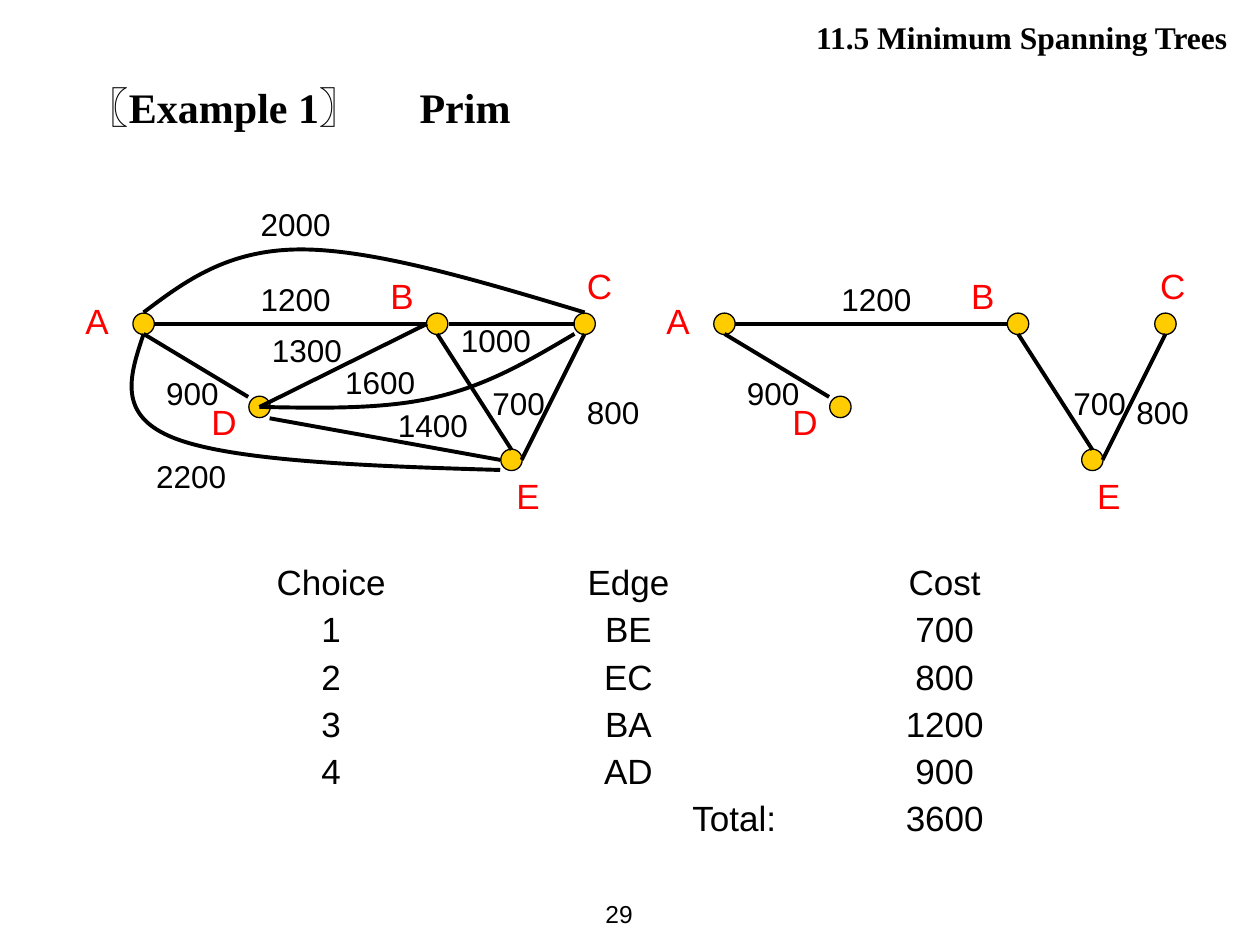
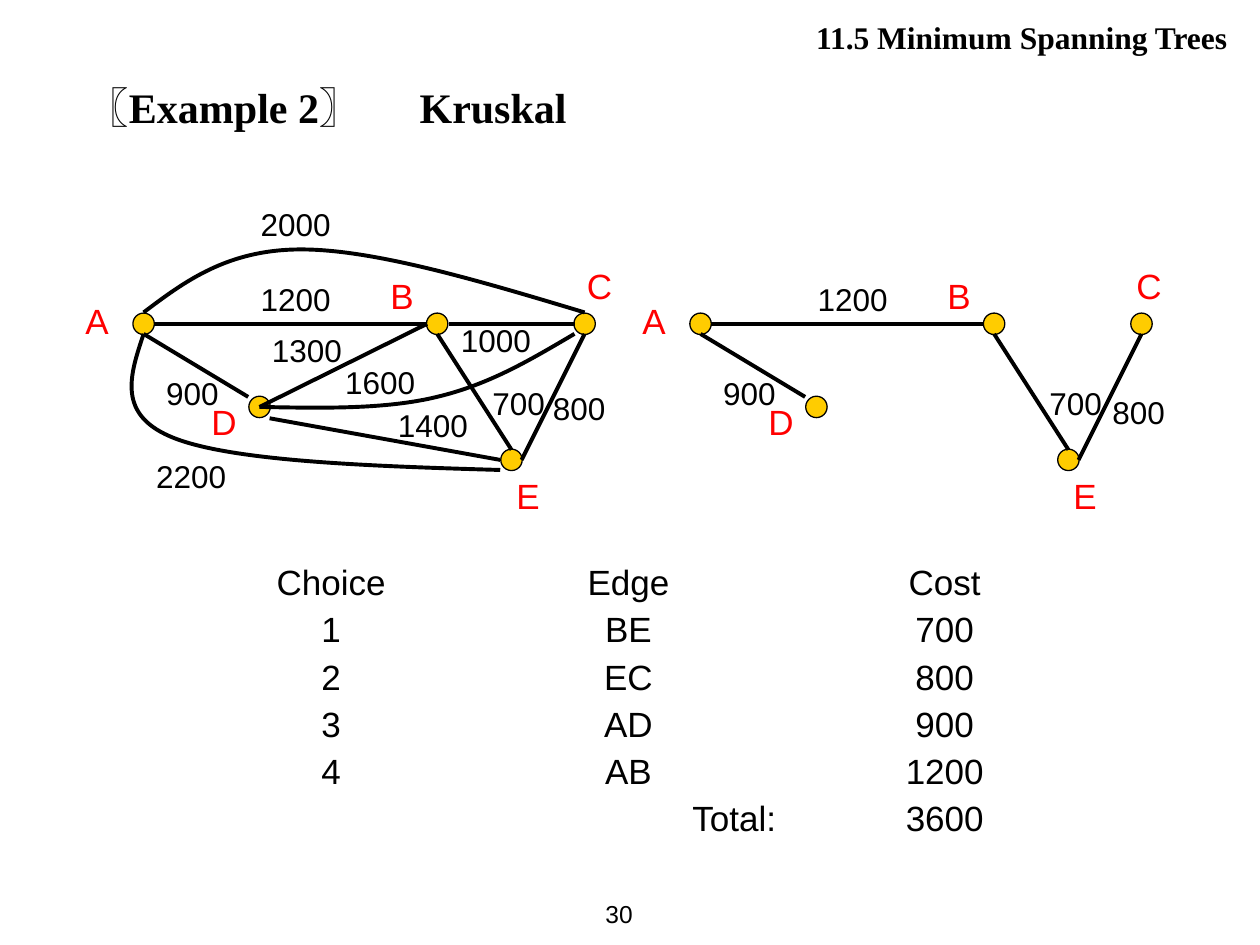
from lxml.etree import SubElement
from pptx import Presentation
from pptx.dml.color import RGBColor
from pptx.enum.shapes import MSO_CONNECTOR, MSO_SHAPE
from pptx.enum.text import MSO_ANCHOR, MSO_AUTO_SIZE, PP_ALIGN
from pptx.oxml.ns import qn
from pptx.util import Inches, Pt

BLACK = RGBColor(0, 0, 0)
RED = RGBColor(0xFF, 0, 0)
GOLD = RGBColor(0xFF, 0xCC, 0)
SANS, SERIF = "Arial", "Times New Roman"
DOT = 0.17

NODES = [(1.14, 2.57), (3.47, 2.57), (4.64, 2.57), (2.06, 3.23), (4.06, 3.65)]
NAMES = {"A": (0.58, 2.33), "B": (3, 2.13), "C": (4.56, 2.05),
         "D": (1.58, 3.13), "E": (4, 3.72)}
TREE = [((1.22, 2.57), (3.39, 2.57)), ((1.14, 2.65), (1.97, 3.15)),
        ((4.14, 3.65), (4.64, 2.65)), ((3.47, 2.65), (4.06, 3.57))]
OTHERS = [((3.56, 2.57), (4.56, 2.57)), ((2.14, 3.32), (3.97, 3.65)),
          ((2.06, 3.23), (3.39, 2.57))]
CURVES = [
    [(1.14, 2.48), (1.47, 2.23), (1.81, 1.98), (2.39, 1.98),
     (2.97, 1.98), (3.81, 2.23), (4.64, 2.48)],
    [(1.14, 2.65), (1.03, 2.98), (0.92, 3.3), (1.39, 3.48),
     (1.86, 3.66), (2.92, 3.7), (3.97, 3.73)],
    [(2.06, 3.23), (2.56, 3.24), (3.06, 3.25), (3.47, 3.15),
     (3.89, 3.05), (4.22, 2.85), (4.56, 2.65)],
]
COSTS = {"1200": (1.97, 2.17), "900": (1.22, 2.92), "700": (3.81, 3)}
MORE = {"2000": (1.97, 1.58), "1000": (3.56, 2.5), "1300": (2.06, 2.58),
        "1600": (2.64, 2.83), "1400": (3.06, 3.17), "2200": (1.14, 3.58)}
COLS = [(0.45, "ctr"), (2.81, "ctr"), (5.32, "ctr")]
SUM = [(3.65, "ctr"), (5.32, "ctr")]

PAGES = [
    (29, "〖Example 1〗", "Prim", 4.61, (4.56, 3.07),
     [("BE", 700), ("EC", 800), ("BA", 1200), ("AD", 900)]),
    (30, "〖Example 2〗", "Kruskal", 4.42, (4.29, 3.04),
     [("BE", 700), ("EC", 800), ("AD", 900), ("AB", 1200)]),
]


class Deck:
    """Hold the shared style and draw on the current slide."""

    def __init__(self):
        self.show = Presentation()
        self.show.slide_width, self.show.slide_height = Inches(10), Inches(7.5)

    def start(self, label, name):
        self.slide = self.show.slides.add_slide(self.show.slide_layouts[5])
        self.shapes = self.slide.shapes
        title = self.shapes.title
        title.left, title.top = Inches(0.59), Inches(0.6)
        title.width, title.height = Inches(8.74), Inches(0.71)
        frame = title.text_frame
        frame.auto_size = MSO_AUTO_SIZE.NONE
        frame.vertical_anchor = MSO_ANCHOR.TOP
        para = frame.paragraphs[0]
        para.alignment = PP_ALIGN.LEFT
        self.tabs(para, [(2.64, "l")])
        self.run(para, label + "\t" + name, 24, SERIF, bold=True)
        self.text(3.98, 0.09, 5.86, 0.4, "11.5 Minimum Spanning Trees",
                  18, SERIF, bold=True, align=PP_ALIGN.RIGHT)

    def run(self, para, text, size, face=SANS, color=BLACK, bold=False):
        run = para.add_run()
        run.text = text
        font = run.font
        font.size, font.name, font.bold = Pt(size), face, bold
        font.color.rgb = color

    def tabs(self, para, stops):
        box = SubElement(para._p.get_or_add_pPr(), qn("a:tabLst"))
        for pos, kind in stops:
            SubElement(box, qn("a:tab"), pos=str(Inches(pos)), algn=kind)

    def frame(self, x, y, w, h):
        box = self.shapes.add_textbox(Inches(x), Inches(y), Inches(w), Inches(h))
        box.text_frame.word_wrap = True
        return box.text_frame

    def text(self, x, y, w, h, text, size, face=SANS, color=BLACK,
             bold=False, align=PP_ALIGN.LEFT, anchor=MSO_ANCHOR.TOP):
        frame = self.frame(x, y, w, h)
        frame.vertical_anchor = anchor
        para = frame.paragraphs[0]
        para.alignment = align
        self.run(para, text, size, face, color, bold)

    def dot(self, x, y):
        dot = self.shapes.add_shape(
            MSO_SHAPE.OVAL, Inches(x - DOT / 2), Inches(y - DOT / 2),
            Inches(DOT), Inches(DOT))
        dot.shadow.inherit = False
        dot.fill.solid()
        dot.fill.fore_color.rgb = GOLD
        self.ink(dot, 0.75)

    def ink(self, shape, width):
        shape.line.color.rgb = BLACK
        shape.line.width = Pt(width)

    def edge(self, head, tail, shift=0):
        (x, y), (u, v) = head, tail
        line = self.shapes.add_connector(
            MSO_CONNECTOR.STRAIGHT, Inches(x + shift), Inches(y),
            Inches(u + shift), Inches(v))
        self.ink(line, 2.25)
        SubElement(line.element.spPr, qn("a:effectLst"))

    def curve(self, points):
        spots = [(Inches(x), Inches(y)) for x, y in points]
        form = self.shapes.build_freeform(*spots[0], scale=1.0)
        form.add_line_segments(spots[1:], close=False)
        shape = form.convert_to_shape()
        shape.shadow.inherit = False
        shape.fill.background()
        self.ink(shape, 2.25)
        track = shape.element.find(".//" + qn("a:path"))
        parts = track.findall(qn("a:lnTo"))
        for i in range(0, len(parts), 3):
            bend = SubElement(track, qn("a:cubicBezTo"))
            for part in parts[i:i + 3]:
                bend.append(part[0])
                track.remove(part)

    def graph(self, edges, costs, names, shift=0):
        for x, y in NODES:
            self.dot(x + shift, y)
        for head, tail in edges:
            self.edge(head, tail, shift)
        for cost, (x, y) in costs.items():
            self.text(x + shift, y, 0.83, 0.4, cost, 18)
        for name, (x, y) in names.items():
            self.text(x + shift, y, 0.5, 0.43, name, 20, color=RED)

    def steps(self, picks):
        rows = [("Choice", "Edge", "Cost")]
        rows += [(i, edge, cost) for i, (edge, cost) in enumerate(picks, 1)]
        rows.append(("Total:", sum(cost for _, cost in picks)))
        frame = self.frame(2.08, 4.4, 6.33, 2.27)
        for i, row in enumerate(rows):
            para = frame.add_paragraph() if i else frame.paragraphs[0]
            if i:
                para.space_before = Pt(3)
            self.tabs(para, COLS if len(row) == 3 else SUM)
            self.run(para, "".join(f"\t{cell}" for cell in row), 20)

    def page(self, number):
        self.text(4.45, 7, 0.67, 0.5, str(number), 14,
                  align=PP_ALIGN.RIGHT, anchor=MSO_ANCHOR.MIDDLE)


def main():
    deck = Deck()
    for number, label, name, shift, spot, picks in PAGES:
        deck.start(label, name)
        deck.graph(TREE + OTHERS, {**COSTS, **MORE, "800": spot}, NAMES)
        for points in CURVES:
            deck.curve(points)
        deck.graph(TREE, {**COSTS, "800": (4.31, 3.07)},
                   {**NAMES, "C": (4.5, 2.05)}, shift)
        deck.steps(picks)
        deck.page(number)
    deck.show.save("out.pptx")


if __name__ == "__main__":
    main()
